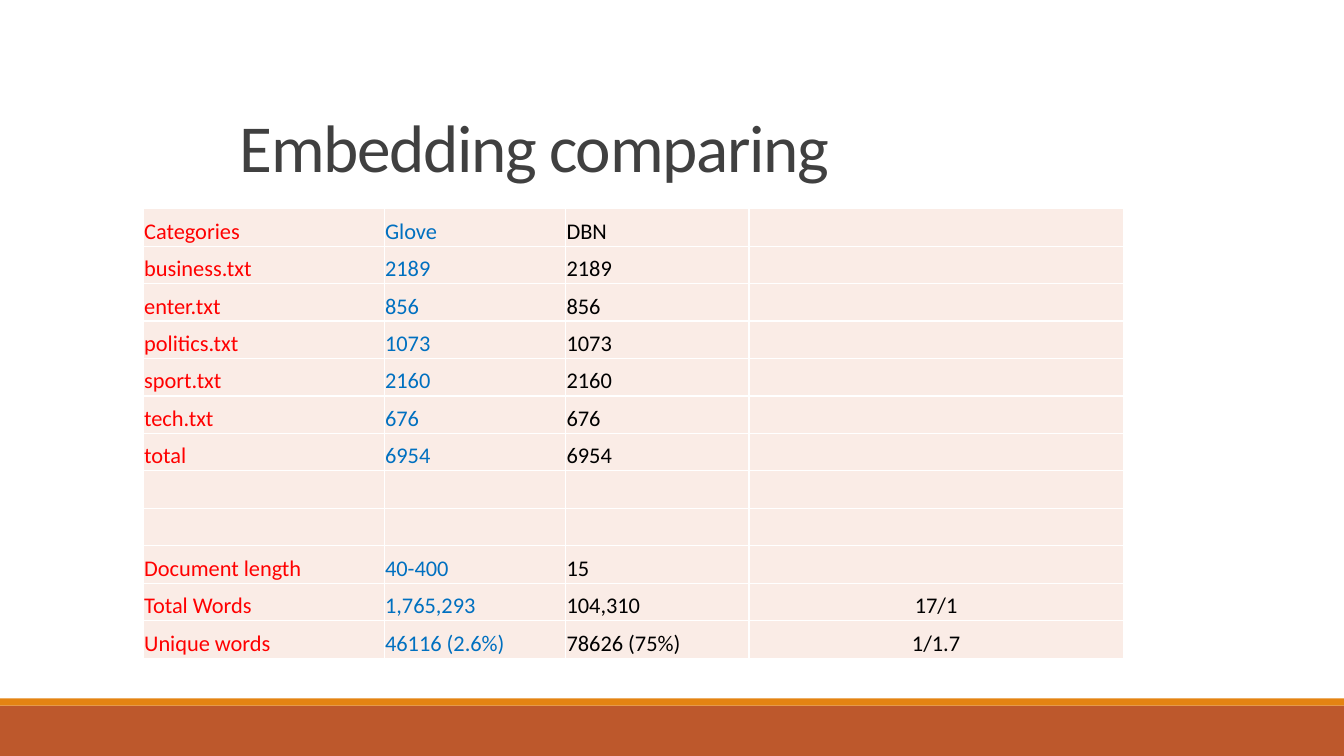
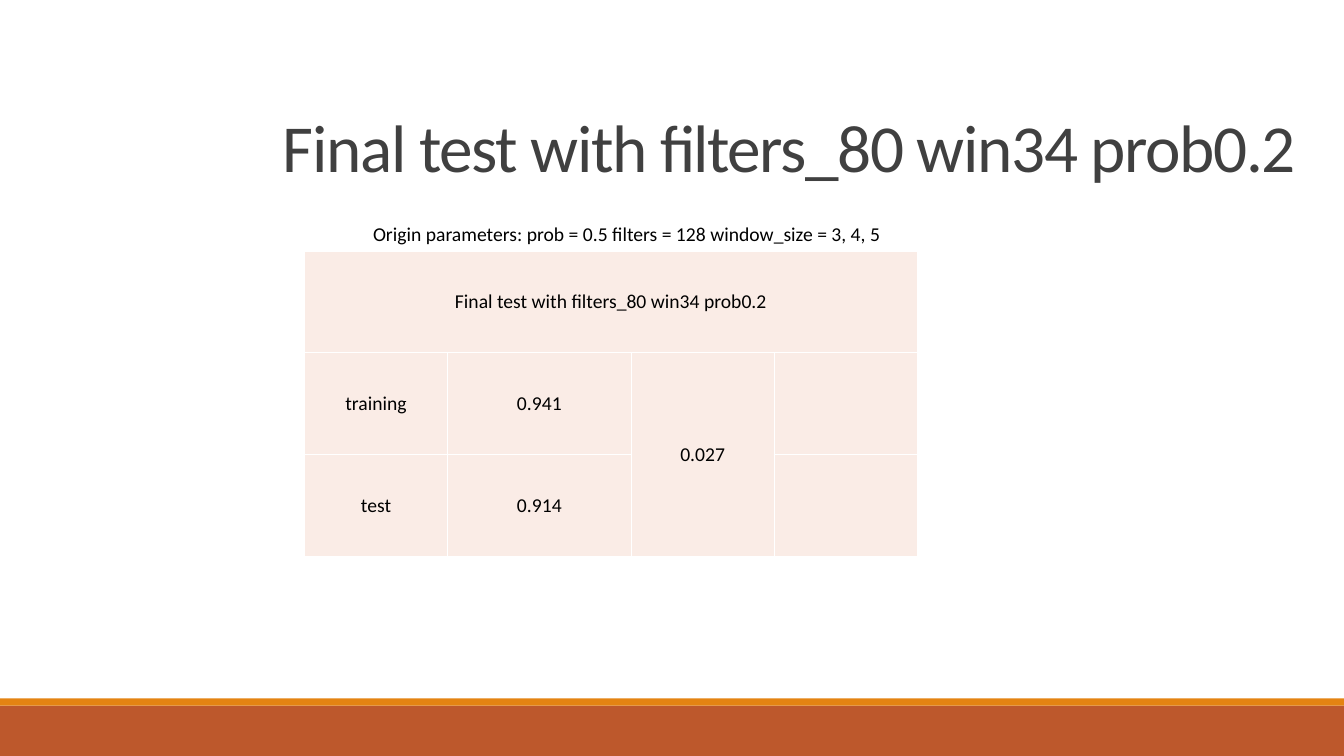
import pptx
import pptx.util
import pptx.dml.color
import pptx.enum.shapes
import pptx.enum.text
from dataclasses import dataclass

Inches = pptx.util.Inches
Align = pptx.enum.text.PP_ALIGN
Anchor = pptx.enum.text.MSO_ANCHOR


@dataclass(frozen=True)
class Theme:
    font: str = "Calibri"
    band: str = "BD582C"
    stripe: str = "E48312"
    title: str = "404040"
    cell: str = "FAECE6"
    label: str = "FF0000"
    glove: str = "0070C0"
    text: str = "000000"
    title_size: int = 48
    count_size: int = 16
    result_size: int = 14


theme = Theme()


def rgb(code):
    return pptx.dml.color.RGBColor.from_string(code)


def write(holder, text, size, color=theme.text, align=Align.LEFT,
          anchor=Anchor.TOP, inset=0.05, spacing=None, tracking=None):
    """Put one formatted paragraph into a shape or a table cell."""
    frame = holder.text_frame
    # Table cells carry their own margins and anchor
    box = frame if hasattr(holder, "shape_type") else holder
    box.margin_left = box.margin_right = Inches(inset)
    box.margin_top = box.margin_bottom = Inches(inset)
    box.vertical_anchor = anchor
    frame.word_wrap = True
    paragraph = frame.paragraphs[0]
    paragraph.alignment = align
    paragraph.line_spacing = spacing
    if not text:
        return
    run = paragraph.add_run()
    run.text = text
    run.font.name = theme.font
    run.font.size = pptx.util.Pt(size)
    run.font.color.rgb = rgb(color)
    if tracking is not None:
        run.font._element.set("spc", str(tracking))


deck = pptx.Presentation()
deck.slide_width = Inches(13.33)
deck.slide_height = Inches(7.5)
title_only = deck.slide_layouts[5]

# Titles
slides = []
for heading, align in (("Embedding comparing", Align.LEFT),
                       ("Final test with filters_80 win34 prob0.2", Align.CENTER)):
    slide = deck.slides.add_slide(title_only)
    title = slide.shapes.title
    title.left, title.top = Inches(2.33), Inches(0.31)
    title.width, title.height = Inches(11), Inches(1.59)
    write(title, heading, theme.title_size, color=theme.title, align=align,
          anchor=Anchor.BOTTOM, spacing=0.85, tracking=-100)
    title.text_frame.auto_size = pptx.enum.text.MSO_AUTO_SIZE.NONE
    slides.append(slide)
comparison, final_test = slides

# Footer bands, moved to the master so that every slide shows them
master_shapes = deck.slide_master.shapes.element
for number, (top, height, color) in enumerate(((7, 0.5, theme.band),
                                               (6.93, 0.07, theme.stripe))):
    band = comparison.shapes.add_shape(
        pptx.enum.shapes.MSO_SHAPE.RECTANGLE,
        0, Inches(top), deck.slide_width, Inches(height))
    band.shadow.inherit = False
    band.fill.solid()
    band.fill.fore_color.rgb = rgb(color)
    band.line.fill.background()
    band.element.nvSpPr.cNvPr.set("id", str(90 + number))
    master_shapes.insert(2 + number, band.element)

# Table contents: None marks a cell covered by a merge
counts = [
    ("Categories", "Glove", "DBN", ""),
    ("business.txt", "2189", "2189", ""),
    ("enter.txt", "856", "856", ""),
    ("politics.txt", "1073", "1073", ""),
    ("sport.txt", "2160", "2160", ""),
    ("tech.txt", "676", "676", ""),
    ("total", "6954", "6954", ""),
    ("", "", "", ""),
    ("", "", "", ""),
    ("Document length", "40-400", "15", ""),
    ("Total Words", "1,765,293", "104,310", "17/1"),
    ("Unique words", "46116 (2.6%)", "78626 (75%)", "1/1.7"),
]
results = [
    ("Final test with filters_80 win34 prob0.2", None, None, None),
    ("training", "0.941", "0.027", ""),
    ("test", "0.914", None, ""),
]
count_formats = [dict(color=theme.label), dict(color=theme.glove),
                 dict(), dict(align=Align.CENTER)]
result_formats = [dict(align=Align.CENTER)] * 4

# Both tables
tables = []
for slide, rows, left, top, height, widths, size, anchor, formats in (
        (comparison, counts, 1.42, 2.07, 4.46, (2.39, 1.8, 1.82, 3.71),
         theme.count_size, Anchor.BOTTOM, count_formats),
        (final_test, results, 3.02, 2.49, 3.03, (1.42, 1.82, 1.42, 1.42),
         theme.result_size, Anchor.MIDDLE, result_formats)):
    table = slide.shapes.add_table(len(rows), len(widths), Inches(left), Inches(top),
                                   Inches(sum(widths)), Inches(height)).table
    table.first_row = table.horz_banding = False
    for column, width in zip(table.columns, widths):
        column.width = Inches(width)
    for r, row in enumerate(rows):
        for c, text in enumerate(row):
            cell = table.cell(r, c)
            cell.fill.solid()
            cell.fill.fore_color.rgb = rgb(theme.cell)
            write(cell, text, size, anchor=anchor, inset=0.01, **formats[c])
    tables.append(table)

# Merged heading and the gap between training and test
result_table = tables[1]
result_table.cell(0, 0).merge(result_table.cell(0, 3))
result_table.cell(1, 2).merge(result_table.cell(2, 2))

# Caption above the results
caption = final_test.shapes.add_textbox(Inches(3.65), Inches(2.15),
                                        Inches(6.67), Inches(0.32))
write(caption, "Origin parameters: prob = 0.5 filters = 128 window_size = 3, 4, 5",
      theme.result_size)

deck.save("out.pptx")
